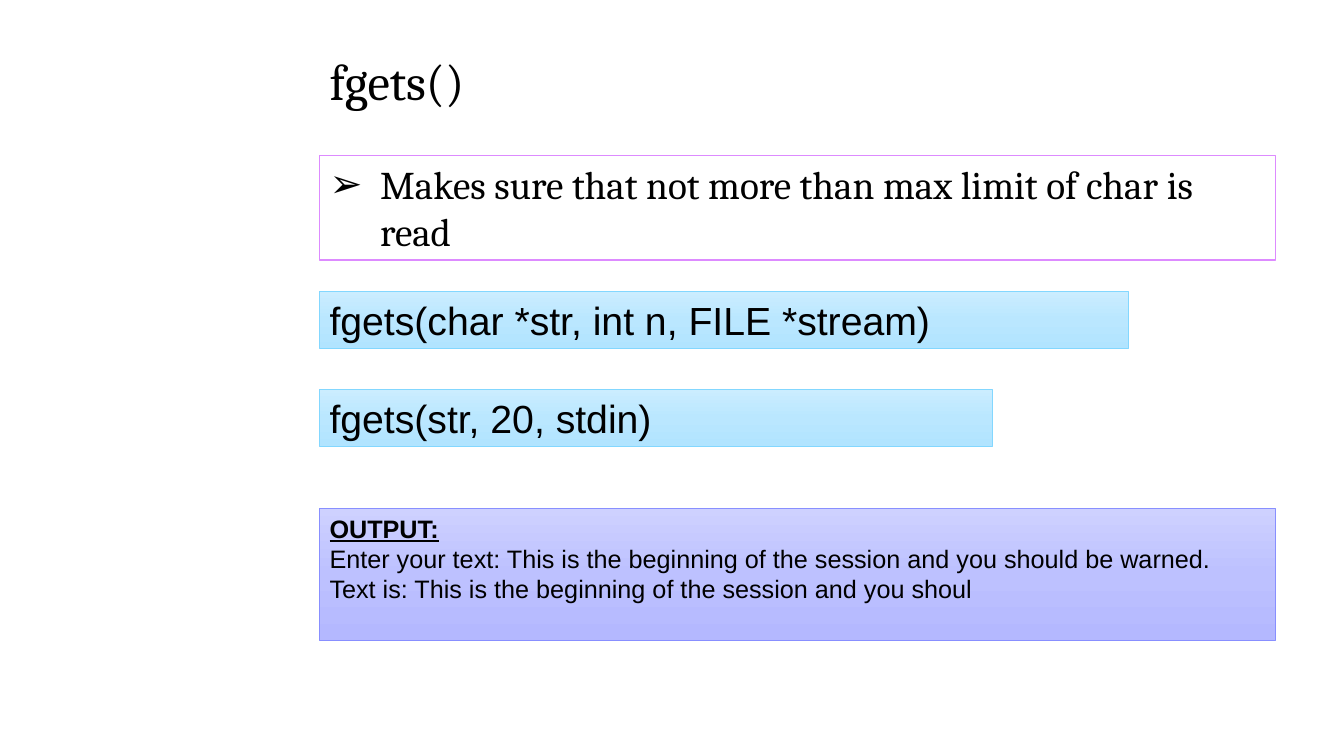
"""Build the slide that explains fgets() with its signature, a call and the output."""
import copy
from dataclasses import dataclass

import lxml.etree
import pptx
import pptx.dml.color
import pptx.enum.shapes
import pptx.enum.text
import pptx.oxml.ns
import pptx.util

Inches = pptx.util.Inches
qn = pptx.oxml.ns.qn

COLOURS = {
    "text": "000000",
    "paper": "FFFFFF",
    "list_line": "DD8BFF",
    "code_line": "83D7FF",
    "output_line": "888FFF",
}
GRADIENTS = {
    "code": ("CBEDFF", "BAE7FF", "B1E4FF"),
    "output": ("CED1FF", "BDC1FF", "B4B8FF"),
}
LEFT = 3.17
WIDE = 9.48


@dataclass(frozen=True)
class Panel:
    top: float
    width: float
    height: float
    style: str
    size: int
    lines: tuple[str, ...]
    heading: str = ""


PANELS = (
    Panel(2.89, 8.02, 0.57, "code", 28, ("fgets(char *str, int n, FILE *stream)",)),
    Panel(3.86, 6.67, 0.57, "code", 28, ("fgets(str, 20, stdin)",)),
    Panel(5.04, WIDE, 1.31, "output", 18, (
        "Enter your text: This is the beginning of the session and you should be warned.",
        "Text is: This is the beginning of the session and you shoul",
    ), heading="OUTPUT:"),
)


def colour(name: str) -> pptx.dml.color.RGBColor:
    return pptx.dml.color.RGBColor.from_string(COLOURS.get(name, name))


def place(shape, top: float, width: float, height: float) -> None:
    shape.left, shape.top = Inches(LEFT), Inches(top)
    shape.width, shape.height = Inches(width), Inches(height)


def outline(shape, name: str, width: float) -> None:
    shape.line.color.rgb = colour(name)
    shape.line.width = pptx.util.Pt(width)


def add_text(shape, text: str, *, size: int, font: str = "Arial", bold: bool = False,
             underline: bool = False, bullet: str = "", first: bool = True) -> None:
    frame = shape.text_frame
    frame.word_wrap = True
    frame.auto_size = pptx.enum.text.MSO_AUTO_SIZE.NONE
    frame.vertical_anchor = pptx.enum.text.MSO_ANCHOR.TOP
    paragraph = frame.paragraphs[0] if first else frame.add_paragraph()
    paragraph.alignment = pptx.enum.text.PP_ALIGN.LEFT
    paragraph.space_before = pptx.util.Pt(0)
    if bullet:
        properties = paragraph._p.get_or_add_pPr()
        properties.set("marL", str(Inches(0.5)))
        properties.set("indent", str(-Inches(0.5)))
        bullet_colour = lxml.etree.SubElement(properties, qn("a:buClr"))
        lxml.etree.SubElement(bullet_colour, qn("a:srgbClr"), val=COLOURS["text"])
        lxml.etree.SubElement(properties, qn("a:buChar"), char=bullet)
    run = paragraph.add_run()
    run.text = text
    run.font.name = font
    run.font.size = pptx.util.Pt(size)
    run.font.bold = bold
    run.font.underline = underline
    run.font.color.rgb = colour("text")


def fill_gradient(shape, shades: tuple[str, ...]) -> None:
    shape.fill.gradient()
    shape.fill.gradient_angle = 270
    stop_list = shape._element.spPr.find(".//" + qn("a:gsLst"))
    stop_list.insert(1, copy.deepcopy(stop_list[0]))
    for index, (stop, shade) in enumerate(zip(shape.fill.gradient_stops, shades)):
        stop.position = index / (len(shades) - 1)
        stop.color.rgb = colour(shade)


def add_panel(slide, panel: Panel) -> None:
    shape = slide.shapes.add_shape(
        pptx.enum.shapes.MSO_SHAPE.RECTANGLE, Inches(LEFT), Inches(panel.top),
        Inches(panel.width), Inches(panel.height))
    shape.shadow.inherit = False
    fill_gradient(shape, GRADIENTS[panel.style])
    outline(shape, f"{panel.style}_line", 0.5)
    if panel.heading:
        add_text(shape, panel.heading, size=panel.size, bold=True, underline=True)
    for index, line in enumerate(panel.lines):
        add_text(shape, line, size=panel.size, first=index == 0 and not panel.heading)


def main() -> None:
    presentation = pptx.Presentation()
    presentation.slide_width, presentation.slide_height = Inches(13.33), Inches(7.5)
    slide = presentation.slides.add_slide(presentation.slide_layouts[1])

    title = slide.shapes.title
    place(title, 0.45, 9.65, 0.71)
    add_text(title, "fgets()", size=36, font="Cambria")

    body = slide.placeholders[1]
    place(body, 1.54, WIDE, 1.04)
    body.fill.solid()
    body.fill.fore_color.rgb = colour("paper")
    outline(body, "list_line", 1)
    add_text(body, "Makes sure that not more than max limit of char is read",
             size=28, font="Cambria", bullet="➢")

    for panel in PANELS:
        add_panel(slide, panel)
    presentation.save("out.pptx")


if __name__ == "__main__":
    main()
